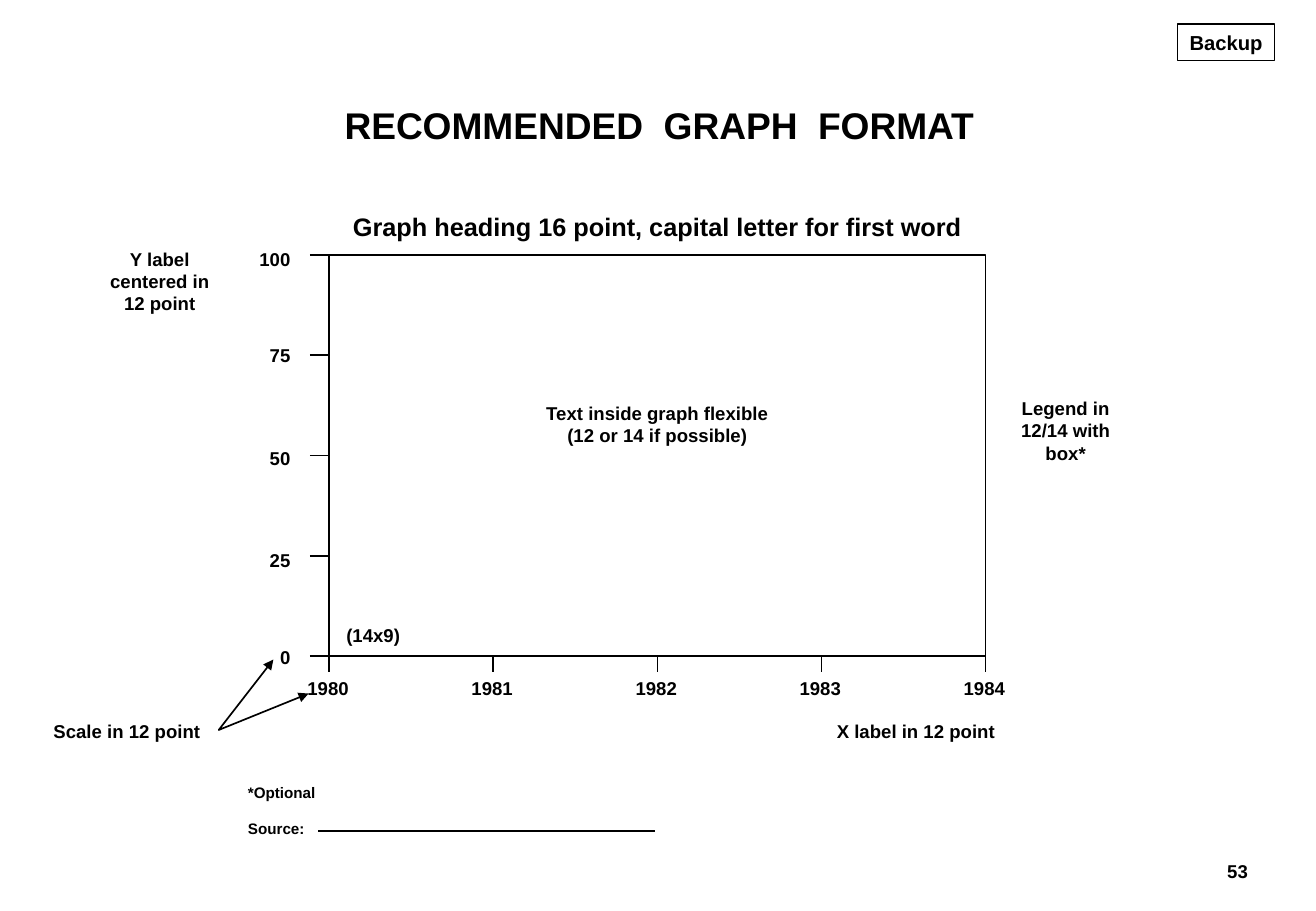
import pptx
import pptx.util
import pptx.dml.color
import pptx.enum.shapes
import pptx.enum.text
import lxml.etree

BLACK = pptx.dml.color.RGBColor(0, 0, 0)
FONT = "Arial"
LEFT, CENTER, RIGHT = (getattr(pptx.enum.text.PP_ALIGN, n) for n in ("LEFT", "CENTER", "RIGHT"))

COLS, ROWS = 1083, 750
TITLE = ["RECOMMENDED", "GRAPH", "FORMAT"]
TITLE_BOX = (277, 82, 531, 41)
FRAME = (271, 210, 540, 330)
Y_TICK, X_TICK = 16, 13
Y_SCALE = [("100", 199), ("75", 278), ("50", 363), ("25", 447), ("0", 527)]
X_SCALE = ["1980", "1981", "1982", "1983", "1984"]
LABELS = [
    (["Scale in 12 point"], (35, 588, 157, 28), 11, LEFT),
    (["Y label centered in 12 point"], (80, 199, 103, 64), 11, CENTER),
    (["Graph heading 16 point, capital letter for first word"], (252, 169, 578, 34), 15, CENTER),
    (["Legend in 12/14 with box*"], (827, 322, 100, 64), 11, CENTER),
    (["Text inside graph flexible", "(12 or 14 if possible)"], (369, 326, 344, 46), 11, CENTER),
    (["X label in 12 point"], (624, 588, 204, 28), 11, RIGHT),
    (["(14x9)"], (276, 509, 73, 28), 11, LEFT),
]
NOTES = ["*Optional", "Source:"]
NOTES_BOX = (195, 643, 342, 49)
SOURCE_LINE = (262, 684, 539, 684)
SCALE_ARROWS = [(225, 543), (180, 601), (254, 571)]
PAGE, PAGE_BOX = "53", (961, 703, 71, 25)
BACKUP, BACKUP_BOX = "Backup", (969, 20, 80, 30)

prs = pptx.Presentation()
prs.slide_width = pptx.util.Inches(10.83)
prs.slide_height = pptx.util.Inches(7.5)
s = prs.slides.add_slide(prs.slide_layouts[5])


def grid(*cells):
    return [round(c * (prs.slide_height / ROWS if i % 2 else prs.slide_width / COLS))
            for i, c in enumerate(cells)]


def format_paragraph(p, size, align):
    p.alignment = align
    p.font.size = pptx.util.Pt(size)
    p.font.name = FONT
    p.font.bold = True
    p.font.color.rgb = BLACK


def set_frame(tf, side, top, wrap=True):
    tf.word_wrap = wrap
    tf.auto_size = pptx.enum.text.MSO_AUTO_SIZE.NONE
    tf.vertical_anchor = pptx.enum.text.MSO_ANCHOR.TOP
    tf.margin_left = tf.margin_right = pptx.util.Inches(side)
    tf.margin_top = tf.margin_bottom = pptx.util.Inches(top)


def fill_text(sp, lines, size, align, side=0.09, top=0.05, wrap=True):
    tf = sp.text_frame
    set_frame(tf, side, top, wrap)
    for i, line in enumerate(lines):
        p = tf.paragraphs[0] if i == 0 else tf.add_paragraph()
        p.text = line
        format_paragraph(p, size, align)
    return tf


def add_label(lines, box, size, align, **margins):
    return fill_text(s.shapes.add_textbox(*grid(*box)), lines, size, align, **margins)


def outline(sp):
    sp.shadow.inherit = False
    sp.fill.background()
    sp.line.color.rgb = BLACK
    sp.line.width = pptx.util.Pt(1)


def add_box(box):
    sp = s.shapes.add_shape(pptx.enum.shapes.MSO_SHAPE.RECTANGLE, *grid(*box))
    outline(sp)
    return sp


def add_line(*ends):
    line = s.shapes.add_connector(pptx.enum.shapes.MSO_CONNECTOR.STRAIGHT, *grid(*ends))
    line.line.color.rgb = BLACK
    line.line.width = pptx.util.Pt(1)
    pptx.oxml.ns  # namespace helpers
    lxml.etree.SubElement(line._element.spPr, pptx.oxml.ns.qn("a:effectLst"))
    return line


title = s.shapes.title
title.left, title.top, title.width, title.height = grid(*TITLE_BOX)
set_frame(title.text_frame, 0.05, 0.02)
p = title.text_frame.paragraphs[0]
for i, word in enumerate(TITLE):
    if i:
        gap = p.add_run()
        gap.text = " "
        gap._r.get_or_add_rPr().set("spc", "610")
    p.add_run().text = word
format_paragraph(p, 22, CENTER)

x, y, w, h = FRAME
frame = add_box(FRAME)
for i, (value, top) in enumerate(Y_SCALE):
    row = y + i * h / (len(Y_SCALE) - 1)
    tick = add_line(x - Y_TICK, row, x, row)
    if row == y + h / 2:
        tick.end_connect(frame, 1)
    add_label([value], (199, top, 49, 28), 11, RIGHT)
for i, year in enumerate(X_SCALE):
    col = x + i * w / (len(X_SCALE) - 1)
    tick = add_line(col, y + h, col, y + h + X_TICK)
    if col == x + w / 2:
        tick.begin_connect(frame, 2)
    add_label([year], (col - 27, 552, 57, 28), 11, LEFT)

for label in LABELS:
    add_label(*label)

notes = add_label(NOTES, NOTES_BOX, 9, LEFT, top=0.02)
notes.paragraphs[1].space_before = pptx.util.Pt(10.5)
add_line(*SOURCE_LINE)

points = [grid(*point) for point in SCALE_ARROWS]
fb = s.shapes.build_freeform(*points[0])
fb.add_line_segments(points[1:], close=False)
arrows = fb.convert_to_shape()
outline(arrows)
ln = arrows.line._get_or_add_ln()
for end in ("a:headEnd", "a:tailEnd"):
    lxml.etree.SubElement(ln, pptx.oxml.ns.qn(end), type="triangle")

page = add_label([PAGE], PAGE_BOX, 11, RIGHT, side=0.05, top=0.02)
page.paragraphs[0].line_spacing = 1.15
fill_text(add_box(BACKUP_BOX), [BACKUP], 12, CENTER, side=0.1, wrap=False)

prs.save("out.pptx")
